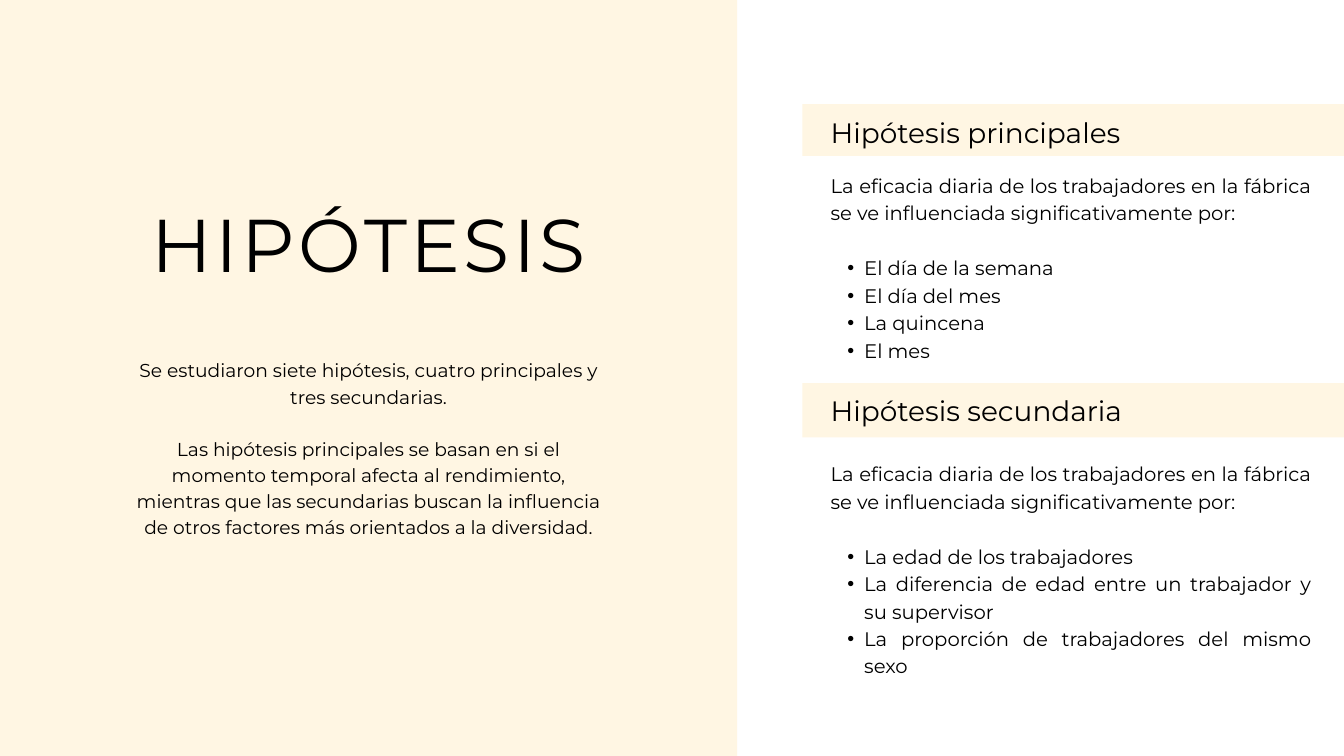
from dataclasses import dataclass

from lxml import etree
from pptx import Presentation
from pptx.dml.color import RGBColor
from pptx.enum.shapes import MSO_SHAPE
from pptx.enum.text import PP_ALIGN
from pptx.oxml.ns import qn
from pptx.util import Inches, Pt

RECTANGLE = MSO_SHAPE.RECTANGLE
LEFT, CENTER, JUSTIFY = PP_ALIGN.LEFT, PP_ALIGN.CENTER, PP_ALIGN.JUSTIFY


@dataclass(frozen=True)
class Theme:
    font: str = "Montserrat"
    ink: RGBColor = RGBColor(0x00, 0x00, 0x00)
    cream: RGBColor = RGBColor(0xFF, 0xF6, 0xE3)
    title: float = 80
    heading: float = 30
    body: float = 21
    summary: float = 20
    title_leading: float = 92.8
    leading: float = 1.4  # line pitch as a multiple of the type size
    title_tracking: float = 3.8


THEME = Theme()

SLIDE_W, SLIDE_H = 20, 11.25
PANEL_W = 10.97
BAND_X = 11.94
TEXT_X, TEXT_W = 12.36, 7.15

INTRO = ("La eficacia diaria de los trabajadores en la fábrica "
         "se ve influenciada significativamente por:")

# heading, band top, band height, body top, body height, bullets
SECTIONS = [
    ("Hipótesis principales", 1.55, 0.77, 2.53, 2.81,
     ["El día de la semana", "El día del mes", "La quincena", "El mes"]),
    ("Hipótesis secundaria", 5.7, 0.81, 6.82, 3.22,
     ["La edad de los trabajadores",
      "La diferencia de edad entre un trabajador y su supervisor",
      "La proporción de trabajadores del mismo sexo"]),
]

SUMMARY = [
    "Se estudiaron siete hipótesis, cuatro principales y tres secundarias.",
    "Las hipótesis principales se basan en si el momento temporal afecta "
    "al rendimiento, mientras que las secundarias buscan la influencia de "
    "otros factores más orientados a la diversidad.",
]


def add_block(s, x, y, w, h):
    """Plain cream rectangle."""
    sp = s.shapes.add_shape(RECTANGLE, Inches(x), Inches(y), Inches(w), Inches(h))
    sp.shadow.inherit = False
    sp.fill.solid()
    sp.fill.fore_color.rgb = THEME.cream
    sp.line.fill.background()


def add_text_frame(s, x, y, w, h):
    """Wrapping text box without margins."""
    tf = s.shapes.add_textbox(Inches(x), Inches(y), Inches(w), Inches(h)).text_frame
    tf.word_wrap = True
    tf.margin_left = tf.margin_right = tf.margin_top = tf.margin_bottom = 0
    return tf


def add_paragraph(tf, text, size, align, leading=None, gap_after=0):
    """Paragraph with a fixed line pitch; gap_after counts lines."""
    p = tf.paragraphs[0]
    if p.runs:
        p = tf.add_paragraph()
    pitch = leading or size * THEME.leading
    p.alignment = align
    p.line_spacing = Pt(pitch)
    p.space_after = Pt(pitch * gap_after)
    r = p.add_run()
    r.text = text
    r.font.name = THEME.font
    r.font.size = Pt(size)
    r.font.color.rgb = THEME.ink
    return p


def set_bullet(p):
    """Round bullet with a hanging indent."""
    p.level = 1
    pPr = p._p.get_or_add_pPr()
    pPr.set("marL", str(Inches(0.5)))
    pPr.set("indent", str(Inches(-0.25)))
    etree.SubElement(pPr, qn("a:buFont")).set("typeface", "Arial")
    etree.SubElement(pPr, qn("a:buChar")).set("char", "•")


def add_section(s, heading, band_y, band_h, body_y, body_h, bullets):
    """Heading on a band, with an introduction and bullets below."""
    add_block(s, BAND_X, band_y, SLIDE_W - BAND_X, band_h)
    tf = add_text_frame(s, TEXT_X, band_y + 0.08, 5.19, 0.57)
    add_paragraph(tf, heading, THEME.heading, LEFT)

    tf = add_text_frame(s, TEXT_X, body_y, TEXT_W, body_h)
    add_paragraph(tf, INTRO, THEME.body, JUSTIFY, gap_after=1)
    for bullet in bullets:
        set_bullet(add_paragraph(tf, bullet, THEME.body, JUSTIFY))


def add_title_panel(s):
    """Left panel with the title and the centred summary."""
    add_block(s, 0, 0, PANEL_W, SLIDE_H)
    tf = add_text_frame(s, 1.4, 2.99, 8.17, 1.29)
    p = add_paragraph(tf, "HIPÓTESIS", THEME.title, CENTER, THEME.title_leading)
    rPr = p.runs[0]._r.get_or_add_rPr()
    rPr.set("spc", str(round(THEME.title_tracking * 100)))

    tf = add_text_frame(s, 1.92, 5.29, 7.13, 2.66)
    first, second = SUMMARY
    add_paragraph(tf, first, THEME.summary, CENTER, gap_after=1)
    add_paragraph(tf, second, THEME.summary, CENTER)


def main():
    prs = Presentation()
    prs.slide_width, prs.slide_height = Inches(SLIDE_W), Inches(SLIDE_H)
    s = prs.slides.add_slide(prs.slide_layouts[6])
    add_title_panel(s)
    for section in SECTIONS:
        add_section(s, *section)
    prs.save("out.pptx")


main()
